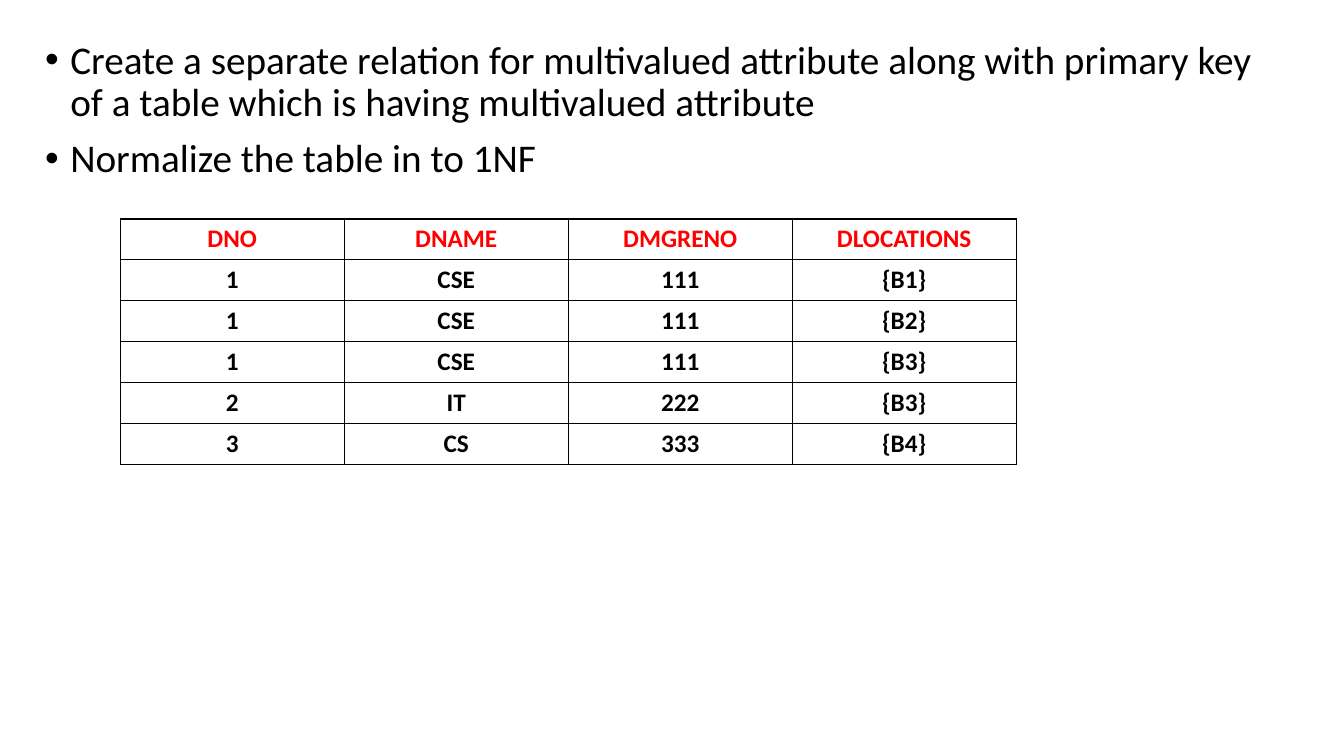
from dataclasses import dataclass

from lxml.etree import SubElement as Sub
from pptx import Presentation
from pptx.dml.color import RGBColor as RGB
from pptx.enum.text import MSO_ANCHOR as Anchor, PP_ALIGN as Align
from pptx.oxml.ns import qn
from pptx.util import Pt


@dataclass(frozen=True)
class Theme:
    """Colours, font and type sizes of the slide."""
    font: str = "Calibri"
    ink: str = "000000"
    heading: str = "FF0000"
    body_size: int = 28
    table_size: int = 18
    border: int = 1


class Builder:
    """Holds the theme and the current slide, and adds elements to it."""

    def __init__(self, theme, slide):
        """Keep the theme and the slide."""
        self.theme = theme
        self.s = slide

    def add_text(self, p, text, size, color, bold=False):
        """Put one styled run into a paragraph."""
        r = p.add_run()
        r.text = text
        style = {"name": self.theme.font, "size": Pt(size), "bold": bold}
        for name, value in style.items():
            setattr(r.font, name, value)
        r.font.color.rgb = RGB.from_string(color)

    def bullets(self, items, left, top, width, height):
        """Add a text box with one bullet for each item."""
        box = self.s.shapes.add_textbox(Pt(left), Pt(top), Pt(width), Pt(height))
        tf = box.text_frame
        tf.word_wrap = True
        for i, item in enumerate(items):
            p = tf.add_paragraph() if i else tf.paragraphs[0]
            pr = p._p.get_or_add_pPr()
            for name, value in {"marL": Pt(18), "indent": -Pt(18)}.items():
                pr.set(name, str(value))
            Sub(pr, qn("a:buFont"), typeface="Arial")
            Sub(pr, qn("a:buChar"), char="•")
            fmt = {"line_spacing": 0.9, "space_before": Pt(10 if i else 0)}
            for name, value in fmt.items():
                setattr(p, name, value)
            self.add_text(p, item, self.theme.body_size, self.theme.ink)

    def borders(self, cell):
        """Draw a solid line on the four sides of a cell."""
        pr = cell._tc.get_or_add_tcPr()
        for side in "LRTB":
            ln = Sub(pr, qn(f"a:ln{side}"), w=str(Pt(self.theme.border)))
            Sub(Sub(ln, qn("a:solidFill")), qn("a:srgbClr"), val=self.theme.ink)

    def table(self, rows, left, top, col_width, row_height):
        """Add a plain ruled table whose first row is the heading."""
        n, m = len(rows), len(rows[0])
        table = self.s.shapes.add_table(
            n, m, Pt(left), Pt(top), Pt(col_width * m), Pt(row_height * n)).table
        for name in ("first_row", "horz_banding"):
            setattr(table, name, False)
        for i, row in enumerate(rows):
            color = self.theme.ink if i else self.theme.heading
            for j, text in enumerate(row):
                cell = table.cell(i, j)
                self.borders(cell)
                cell.fill.background()
                cell.vertical_anchor = Anchor.TOP
                p = cell.text_frame.paragraphs[0]
                p.alignment = Align.CENTER
                self.add_text(p, text, self.theme.table_size, color, True)


def main():
    """Build the slide and save it."""
    prs = Presentation()
    prs.slide_width, prs.slide_height = Pt(960), Pt(540)
    b = Builder(Theme(), prs.slides.add_slide(prs.slide_layouts[6]))
    b.bullets([
        "Create a separate relation for multivalued attribute along with "
        "primary key of a table which is having multivalued attribute",
        "Normalize the table in to 1NF",
    ], 25.2, 25.2, 902.2, 469.4)
    b.table([
        ("DNO", "DNAME", "DMGRENO", "DLOCATIONS"),
        ("1", "CSE", "111", "{B1}"),
        ("1", "CSE", "111", "{B2}"),
        ("1", "CSE", "111", "{B3}"),
        ("2", "IT", "222", "{B3}"),
        ("3", "CS", "333", "{B4}"),
    ], 85.9, 156.4, 160, 29.2)
    prs.save("out.pptx")


if __name__ == "__main__":
    main()
